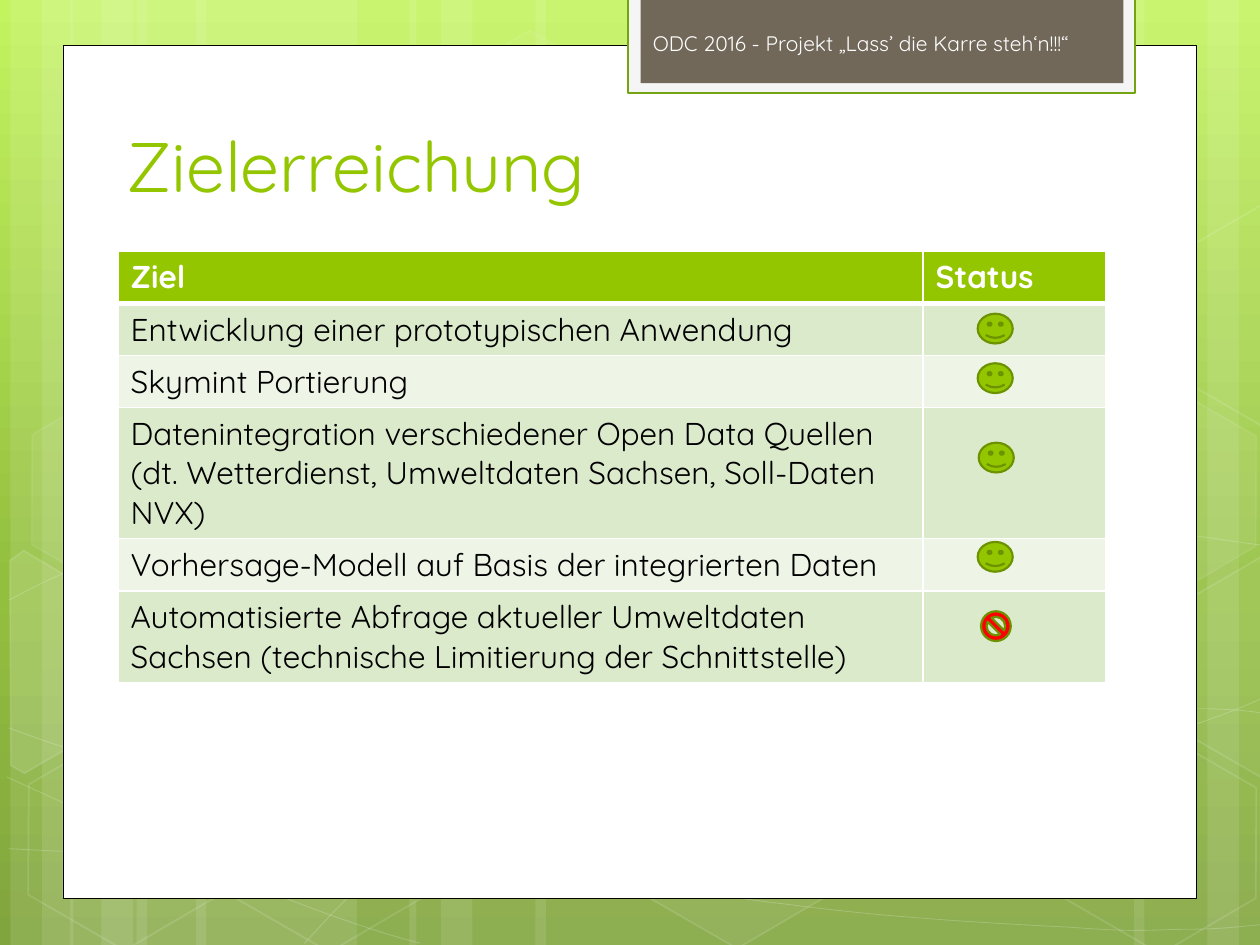
from copy import deepcopy
from dataclasses import dataclass
from math import cos, radians, sin

from lxml.etree import SubElement
from pptx import Presentation
from pptx.dml.color import RGBColor as RGB
from pptx.enum.shapes import MSO_SHAPE as SHAPE
from pptx.enum.text import MSO_ANCHOR as ANCHOR, PP_ALIGN as ALIGN
from pptx.oxml.ns import qn
from pptx.util import Pt


@dataclass(frozen=True)
class Theme:
    font: str = "Quicksand"
    white: str = "FFFFFF"
    black: str = "000000"
    green: str = "94C600"
    dark_green: str = "6D9200"
    frame_green: str = "74A510"
    pale: str = "F5F5F5"
    brown: str = "71685A"
    header_text: str = "FEFEFE"
    red: str = "FF0000"
    bands: tuple = ("DCEACC", "EEF5E7")
    backdrop: tuple = ((0, "C3F35F"), (0.62, "93BF3F"), (1, "81A53E"))
    title_size: int = 40
    table_size: int = 18
    header_size: int = 12


T = Theme()

# Backdrop: left edge of each stripe trio and width of its widest stripe
STRIPE_TRIOS = [(6, 126), (40, 126), (234, 222)]
RIGHT_STRIPES = [(528, 126), (690, 36), (648, 60)]
# Start point, then three points for each Bezier segment
CURVES = [
    [(5, 485), (44, 487), (83, 489), (137, 488), (191, 487), (258, 486), (330, 479),
     (402, 472), (504, 458), (570, 444), (636, 431), (703, 409), (725, 397)],
    [(5, 343), (26, 332), (47, 321), (87, 310), (128, 300), (186, 284), (250, 279),
     (314, 274), (392, 273), (471, 279), (550, 284), (682, 307), (725, 312)],
    [(4, 444), (91, 484), (178, 523), (240, 539)],
    [(5, 416), (27, 424), (50, 432), (92, 444), (134, 454), (197, 472), (257, 485),
     (317, 497), (392, 510), (452, 517), (512, 525), (576, 528), (614, 530),
     (652, 533), (662, 531), (680, 531), (699, 531), (712, 529), (725, 528)],
    [(174, 539), (187, 525), (200, 510), (217, 498), (235, 485), (259, 470), (279, 460),
     (300, 450), (312, 446), (338, 438), (364, 431), (413, 421), (438, 416),
     (464, 411), (467, 411), (490, 410), (512, 408), (547, 405), (572, 405),
     (597, 404), (638, 405), (638, 405), (654, 405), (670, 405), (686, 405),
     (699, 405), (711, 406), (718, 407), (724, 408), (722, 407), (724, 408)],
]
# Left, top, fill opacity, line opacity (percent)
HEXAGONS = [(240, 26, 4, 8), (358, 424, 6, 12), (8, 425, 0, 12), (10, 225, 7, 8),
            (125, 426, 0, 12), (542, 326, 10, 12), (600, 427, 0, 12), (600, 226, 7, 8)]
TILT = 30
# Hexagons cut by the slide edges: corners and centre of rotation
LEFT_HEXAGON = [(6, 320), (14, 315), (69, 347), (68, 410), (14, 442), (6, 437)]
LEFT_CENTRE = (25.9, 385.2)
RIGHT_HEXAGON = [(667, 349), (721, 318), (726, 321), (726, 442), (721, 444), (667, 413)]
RIGHT_CENTRE = (709.2, 374.4)

# Goal and row height
GOALS = [
    ("Entwicklung einer prototypischen Anwendung", 29.7),
    ("Skymint Portierung", 29.7),
    ("Datenintegration verschiedener Open Data Quellen "
     "(dt. Wetterdienst, Umweltdaten Sachsen, Soll-Daten NVX)", 75),
    ("Vorhersage-Modell auf Basis der integrierten Daten", 29.7),
    ("Automatisierte Abfrage aktueller Umweltdaten Sachsen "
     "(technische Limitierung der Schnittstelle)", 52.5),
]
SMILEYS = [(558.7, 179.3), (558.7, 207.6), (559.3, 253), (558.7, 309.7)]


def paint(shape, fill=None, line=None, width=1.0, fill_alpha=100, line_alpha=100):
    shape.shadow.inherit = False
    for part, color, alpha in ((shape.fill, fill, fill_alpha),
                               (shape.line.fill, line, line_alpha)):
        if color is None:
            part.background()
            continue
        part.solid()
        part.fore_color.rgb = RGB.from_string(color)
        if alpha < 100:
            rgb = list(shape.element.spPr.iter(qn("a:srgbClr")))[-1]
            SubElement(rgb, qn("a:alpha"), val=str(alpha * 1000))
    if line:
        shape.line.width = Pt(width)


def add_preset(s, kind, box, **look):
    sp = s.shapes.add_shape(kind, *map(Pt, box))
    paint(sp, **look)
    return sp


def add_outline(s, points, close, **look):
    builder = s.shapes.build_freeform(*points[0], scale=Pt(1))
    builder.add_line_segments(points[1:], close=close)
    sp = builder.convert_to_shape()
    paint(sp, **look)
    return sp


def add_curve(s, nodes):
    sp = add_outline(s, nodes, False, line=T.white, width=0.5, line_alpha=20)
    # Turn every three line ends into one Bezier segment
    ends = list(sp.element.iter(qn("a:lnTo")))
    outline = ends[0].getparent()
    for i in range(0, len(ends), 3):
        bezier = SubElement(outline, qn("a:cubicBezTo"))
        for end in ends[i:i + 3]:
            bezier.append(end[0])
            outline.remove(end)


def add_cut_hexagon(s, corners, centre, **look):
    c, n = cos(radians(TILT)), sin(radians(TILT))
    cx, cy = centre
    upright = [(cx + (x - cx) * c + (y - cy) * n, cy - (x - cx) * n + (y - cy) * c)
               for x, y in corners]
    add_outline(s, upright, True, **look).rotation = TILT


def write(tf, text, size, color, bold=False):
    tf.text = text
    tf.word_wrap = True
    for r in tf.paragraphs[0].runs:
        r.font.name, r.font.size, r.font.bold = T.font, Pt(size), bold
        r.font.color.rgb = RGB.from_string(color)


def faint(fill, line):
    look = dict(line=T.white, line_alpha=line)
    return dict(look, fill=T.white, fill_alpha=fill) if fill else look


def add_backdrop(s):
    fill = s.background.fill
    fill.gradient()
    fill.gradient_angle = 270
    stops = next(s.element.iter(qn("a:gsLst")))
    stops.append(deepcopy(stops[0]))
    for stop, (position, color) in zip(fill.gradient_stops, T.backdrop):
        stop.position = position
        stop.color.rgb = RGB.from_string(color)

    stripes = [(left + dx, width) for left, wide in STRIPE_TRIOS
               for dx, width in ((72, wide), (0, 36), (18, 60))]
    for left, width in stripes + RIGHT_STRIPES:
        add_preset(s, SHAPE.RECTANGLE, (left, 0, width, 540), fill=T.white, fill_alpha=10)
    for nodes in CURVES:
        add_curve(s, nodes)
    for left, top, fill_alpha, line_alpha in HEXAGONS:
        sp = add_preset(s, SHAPE.HEXAGON, (left, top, 126, 109.5),
                        **faint(fill_alpha, line_alpha))
        sp.rotation = TILT
        sp.adjustments[0], sp.adjustments[1] = 0.285, 1.155
    add_cut_hexagon(s, LEFT_HEXAGON, LEFT_CENTRE, **faint(10, 12))
    for rise, fill_alpha in ((0, 4), (200.5, 0)):
        corners = [(x, y - rise) for x, y in RIGHT_HEXAGON]
        centre = (RIGHT_CENTRE[0], RIGHT_CENTRE[1] - rise)
        add_cut_hexagon(s, corners, centre, **faint(fill_alpha, 12))


def add_frame(s):
    add_preset(s, SHAPE.RECTANGLE, (36, 26, 648, 487.2), fill=T.white, line=T.black, width=0.5)
    add_preset(s, SHAPE.RECTANGLE, (359, -1.5, 289.7, 54.6), fill=T.pale,
               line=T.frame_green, width=1.25)
    add_preset(s, SHAPE.RECTANGLE, (366, -1.5, 276, 49), fill=T.brown)


def add_header(s, text):
    tf = s.shapes.add_textbox(Pt(366), Pt(17.6), Pt(271.5), Pt(29)).text_frame
    write(tf, text, T.header_size, T.header_text)
    tf.vertical_anchor = ANCHOR.TOP
    tf.margin_top = Pt(0)


def add_title(s, text):
    title = s.shapes.title
    title.left, title.top, title.width, title.height = map(Pt, (65.2, 64.5, 553, 58.5))
    write(title.text_frame, text, T.title_size, T.green)
    title.text_frame.vertical_anchor = ANCHOR.MIDDLE
    title.text_frame.paragraphs[0].alignment = ALIGN.LEFT
    # Bring the title in front of the white panel
    title.element.getparent().append(title.element)


def style_cell(cell, fill, bottom=1):
    cell.fill.solid()
    cell.fill.fore_color.rgb = RGB.from_string(fill)
    tc_pr = cell._tc.get_or_add_tcPr()
    for i, (side, width) in enumerate(zip("LRTB", (1, 1, 1, bottom))):
        ln = SubElement(tc_pr, qn("a:ln" + side), w=str(Pt(width)))
        SubElement(SubElement(ln, qn("a:solidFill")), qn("a:srgbClr"), val=T.white)
        tc_pr.insert(i, ln)


def add_goal_table(s):
    heights = [29.7] + [height for _, height in GOALS]
    table = s.shapes.add_table(len(heights), 2, Pt(67.5), Pt(143.5),
                               Pt(564.3), Pt(sum(heights))).table
    for column, width in zip(table.columns, (460, 104.3)):
        column.width = Pt(width)
    for row, height in zip(table.rows, heights):
        row.height = Pt(height)
    for cell, text in zip(table.rows[0].cells, ("Ziel", "Status")):
        write(cell.text_frame, text, T.table_size, T.white, bold=True)
        style_cell(cell, T.green, bottom=3)
    for i, (goal, _) in enumerate(GOALS):
        cells = table.rows[i + 1].cells
        write(cells[0].text_frame, goal, T.table_size, T.black)
        for cell in cells:
            style_cell(cell, T.bands[i % 2])


def add_status_icons(s):
    look = dict(line=T.dark_green, width=1.25)
    for left, top in SMILEYS:
        add_preset(s, SHAPE.SMILEY_FACE, (left, top, 20, 17), fill=T.green, **look)
    add_preset(s, SHAPE.NO_SYMBOL, (560.6, 349.3, 17, 17), fill=T.red, **look)


def main():
    prs = Presentation()
    prs.slide_width, prs.slide_height = Pt(720), Pt(540)
    s = prs.slides.add_slide(prs.slide_layouts[5])
    add_backdrop(s)
    add_frame(s)
    add_header(s, "ODC 2016 - Projekt „Lass’ die Karre steh‘n!!!“")
    add_title(s, "Zielerreichung")
    add_goal_table(s)
    add_status_icons(s)
    prs.save("out.pptx")


if __name__ == "__main__":
    main()
